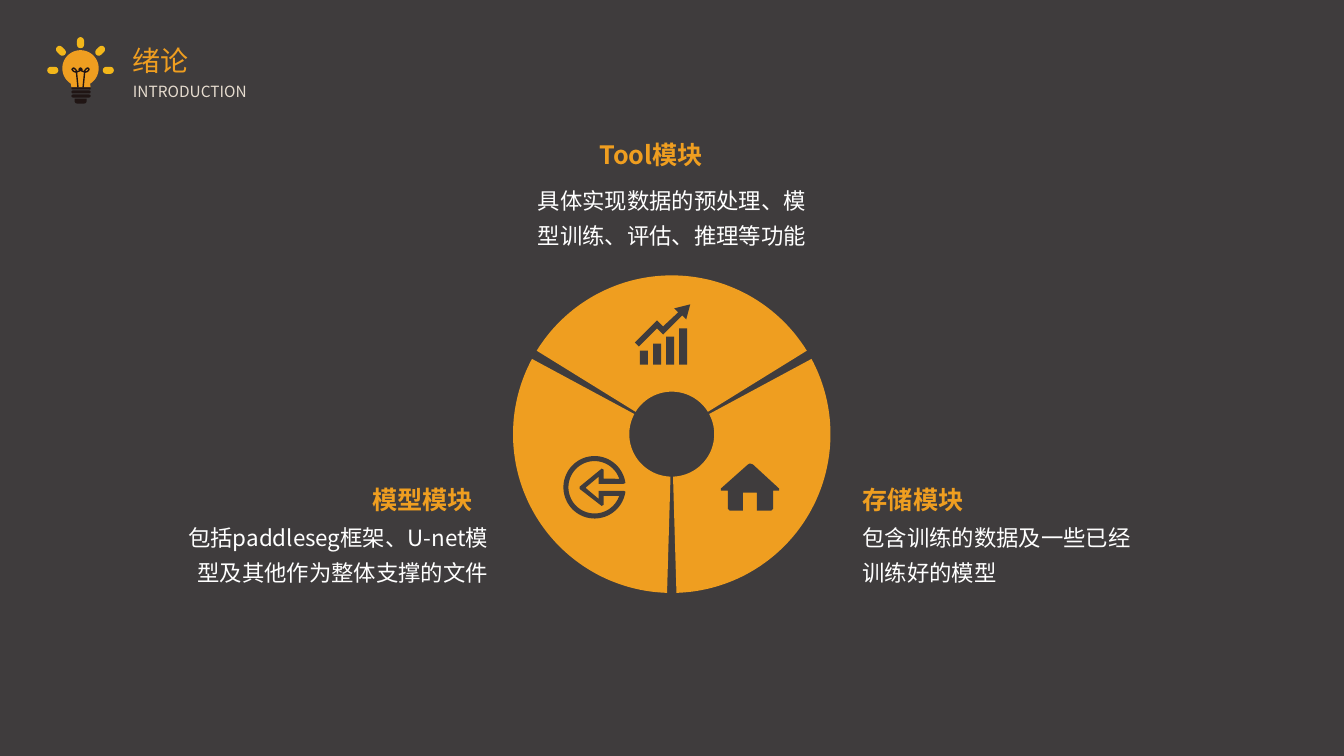
from dataclasses import dataclass
from math import cos, radians, sin

from lxml import etree
from pptx import Presentation
from pptx.dml.color import RGBColor
from pptx.enum.shapes import MSO_SHAPE
from pptx.enum.text import MSO_AUTO_SIZE, PP_ALIGN
from pptx.oxml.ns import qn
from pptx.util import Cm, Pt

RECT = MSO_SHAPE.RECTANGLE
CAPSULE = MSO_SHAPE.ROUNDED_RECTANGLE
CUP = MSO_SHAPE.ROUND_2_SAME_RECTANGLE
LEFT, CENTER, RIGHT = PP_ALIGN.LEFT, PP_ALIGN.CENTER, PP_ALIGN.RIGHT
FIT = MSO_AUTO_SIZE.SHAPE_TO_FIT_TEXT


@dataclass(frozen=True)
class Theme:
    """Colours, font and type sizes of the slide."""
    font: str = "Noto Sans CJK SC"
    back: RGBColor = RGBColor(0x3F, 0x3C, 0x3D)
    accent: RGBColor = RGBColor(0xEF, 0x9E, 0x20)
    ray: RGBColor = RGBColor(0xF3, 0xB7, 0x1A)
    dark: RGBColor = RGBColor(0x20, 0x15, 0x14)
    pale: RGBColor = RGBColor(0xE6, 0xDC, 0xCF)
    white: RGBColor = RGBColor(0xFF, 0xFF, 0xFF)
    title: int = 20
    subtitle: int = 11
    heading: int = 18
    body: int = 16
    leading: float = 1.3


THEME = Theme()


def arc(cx, cy, radius, start, end, steps=72):
    """Return points along an arc, angles counter-clockwise in degrees."""
    angles = [radians(start + (end - start) * i / steps) for i in range(steps + 1)]
    return [(cx + radius * cos(a), cy - radius * sin(a)) for a in angles]


def paint(sp, color):
    """Give a shape a flat fill without line or shadow."""
    sp.shadow.inherit = False
    sp.fill.solid()
    sp.fill.fore_color.rgb = color
    sp.line.fill.background()
    return sp


def outline(slide, box, grid, contours, color, close=True):
    """Draw contours given on a grid that spans the box."""
    x, y, w, h = box
    paths = [[(Cm(x + px * w / grid[0]), Cm(y + py * h / grid[1])) for px, py in c]
             for c in contours]
    builder = slide.shapes.build_freeform(*paths[0][0], scale=1.0)
    builder.add_line_segments(paths[0][1:], close=close)
    for path in paths[1:]:
        builder.move_to(*path[0])
        builder.add_line_segments(path[1:], close=close)
    return paint(builder.convert_to_shape(), color)


def block(slide, box, grid, kind, place, color, rotation=0):
    """Place a preset shape given on a grid that spans the box."""
    x, y, w, h = box
    sx, sy = w / grid[0], h / grid[1]
    left, top, width, height = place
    sp = slide.shapes.add_shape(kind, Cm(x + left * sx), Cm(y + top * sy),
                                Cm(width * sx), Cm(height * sy))
    sp.rotation = rotation
    if kind != RECT:
        sp.adjustments[0] = 0.5
    return paint(sp, color)


def label(slide, box, text, size, color, bold=False, align=LEFT, spacing=None, wrap=True):
    """Add a text box with a single paragraph."""
    tf = slide.shapes.add_textbox(*map(Cm, box)).text_frame
    tf.word_wrap, tf.auto_size = wrap, FIT
    p = tf.paragraphs[0]
    r = p.add_run()
    r.text = text
    for name, value in {"alignment": align, "line_spacing": spacing}.items():
        setattr(p, name, value)
    for name, value in {"name": THEME.font, "size": Pt(size), "bold": bold}.items():
        setattr(r.font, name, value)
    r.font.color.rgb = color
    etree.SubElement(r._r.get_or_add_rPr(), qn("a:ea")).set("typeface", THEME.font)


def bulb(slide, box):
    """Draw the light bulb with its rays."""
    grid = (66, 67)
    outline(slide, box, grid, [arc(33, 32, 18, -58, 238) + [(24, 51), (43, 51)]],
            THEME.accent)
    left_half = [(30.5, 51), (29, 36), (26, 35), (24.5, 33), (26, 31.5), (28, 33),
                 (29.5, 35.5), (32, 34.5), (34.5, 33), (33, 31.5)]
    right_half = [(66 - x, y) for x, y in reversed(left_half[:-1])]
    filament = outline(slide, box, grid, [left_half + right_half], THEME.dark, close=False)
    filament.fill.background()
    filament.line.color.rgb = THEME.dark
    filament.line.width = Pt(1)
    for kind, place, turn in ((CUP, (24, 51, 19, 2), 180), (CAPSULE, (24, 54, 19, 3), 0),
                              (CAPSULE, (24, 58, 19, 3), 0), (CUP, (27, 62, 12, 5), 180)):
        block(slide, box, grid, kind, place, THEME.dark, turn)
    for angle in range(0, 181, 45):
        cx, cy = arc(33, 34, 27.5, angle, angle, 1)[0]
        block(slide, box, grid, CAPSULE, (cx - 5.5, cy - 3.5, 11, 7), THEME.ray, -angle)


def header(slide, box):
    """Place the bulb, the title and the subtitle."""
    x, y, w, h = box
    bulb(slide, (x, y, 1.68, 1.7))
    label(slide, (x + 1.91, y + 0.06, 1.93, 1.12), "绪论", THEME.title, THEME.accent,
          wrap=False)
    label(slide, (x + 1.91, y + 0.89, w - 1.91, 0.81), "INTRODUCTION", THEME.subtitle,
          THEME.pale, spacing=THEME.leading)


def growth_icon(slide, box):
    """Draw rising bars under an arrow."""
    grid = (54, 60)
    arrow = [(51, 15), (55, 0), (39, 4), (43, 8), (28, 22), (22, 16), (0, 38), (4, 42),
             (22, 24), (28, 30), (47, 11)]
    outline(slide, box, grid, [arrow], THEME.back)
    for i, height in enumerate((14, 21, 28, 36)):
        block(slide, box, grid, RECT, (5 + 13 * i, 60 - height, 8, height), THEME.back)


def return_icon(slide, box):
    """Draw a ring with an arrow pointing into it."""
    rim = arc(31, 31.5, 31, 8, 352) + [(60, 35), (35, 35), (35, 43), (22, 32), (35, 21),
                                       (35, 28), (60, 28)]
    hole = arc(31, 31.5, 26, 19, 341) + [(40, 40), (40, 49), (38, 50), (16, 33), (16, 31),
                                         (38, 13), (40, 14), (40, 23)]
    outline(slide, box, (62, 63), [rim, hole], THEME.back)


def home_icon(slide, box):
    """Draw a house with a door."""
    house = [(59, 25), (33, 1), (30, 0), (28, 1), (1, 25), (1, 27), (8, 27), (8, 45),
             (10, 47), (23, 47), (23, 29), (37, 29), (37, 47), (51, 47), (53, 45),
             (53, 27), (59, 27)]
    outline(slide, box, (60, 47), [house], THEME.back)


def wheel(slide, box):
    """Draw three ring sectors with an icon on each."""
    x, y, w, h = box
    gap = 1.7
    for start in (30, 150, 270):
        first, last = start + gap, start + 120 - gap
        sector = arc(4, 4, 4, first, last) + arc(4, 4, 1.07, last, first)
        outline(slide, box, (8, 8), [sector], THEME.accent)
    growth_icon(slide, (x + 3.07, y + 0.73, 1.37, 1.52))
    return_icon(slide, (x + 1.27, y + 4.54, 1.57, 1.6))
    home_icon(slide, (x + 5.21, y + 4.74, 1.52, 1.19))


def module(slide, box, align, indent, head_w, drop, heading, body):
    """Place a module's heading above its description."""
    x, y, w, h = box
    label(slide, (x + indent, y, head_w, 1.02), heading, THEME.heading, THEME.accent,
          bold=True, align=align)
    label(slide, (x, y + drop, w, h - drop), body, THEME.body, THEME.white,
          align=align, spacing=THEME.leading)


def main():
    """Build and save the slide."""
    prs = Presentation()
    prs.slide_width, prs.slide_height = Cm(33.87), Cm(19.05)
    slide = prs.slides.add_slide(prs.slide_layouts[6])
    slide.background.fill.solid()
    slide.background.fill.fore_color.rgb = THEME.back
    header(slide, (1.19, 0.91, 9.86, 1.7))
    wheel(slide, (12.93, 6.94, 8, 8))
    modules = (
        ((13.06, 3.38, 7.75, 3.05), CENTER, 1.42, 3.86, 1.02,
         "Tool模块", "具体实现数据的预处理、模型训练、评估、推理等功能"),
        ((21.49, 12.07, 7.75, 2.84), LEFT, 0, 3.05, 0.81,
         "存储模块", "包含训练的数据及一些已经训练好的模型"),
        ((3.96, 12.07, 8.59, 2.84), RIGHT, 4.65, 3.56, 0.81,
         "模型模块", "包括paddleseg框架、U-net模型及其他作为整体支撑的文件"),
    )
    for item in modules:
        module(slide, *item)
    prs.save("out.pptx")


if __name__ == "__main__":
    main()
